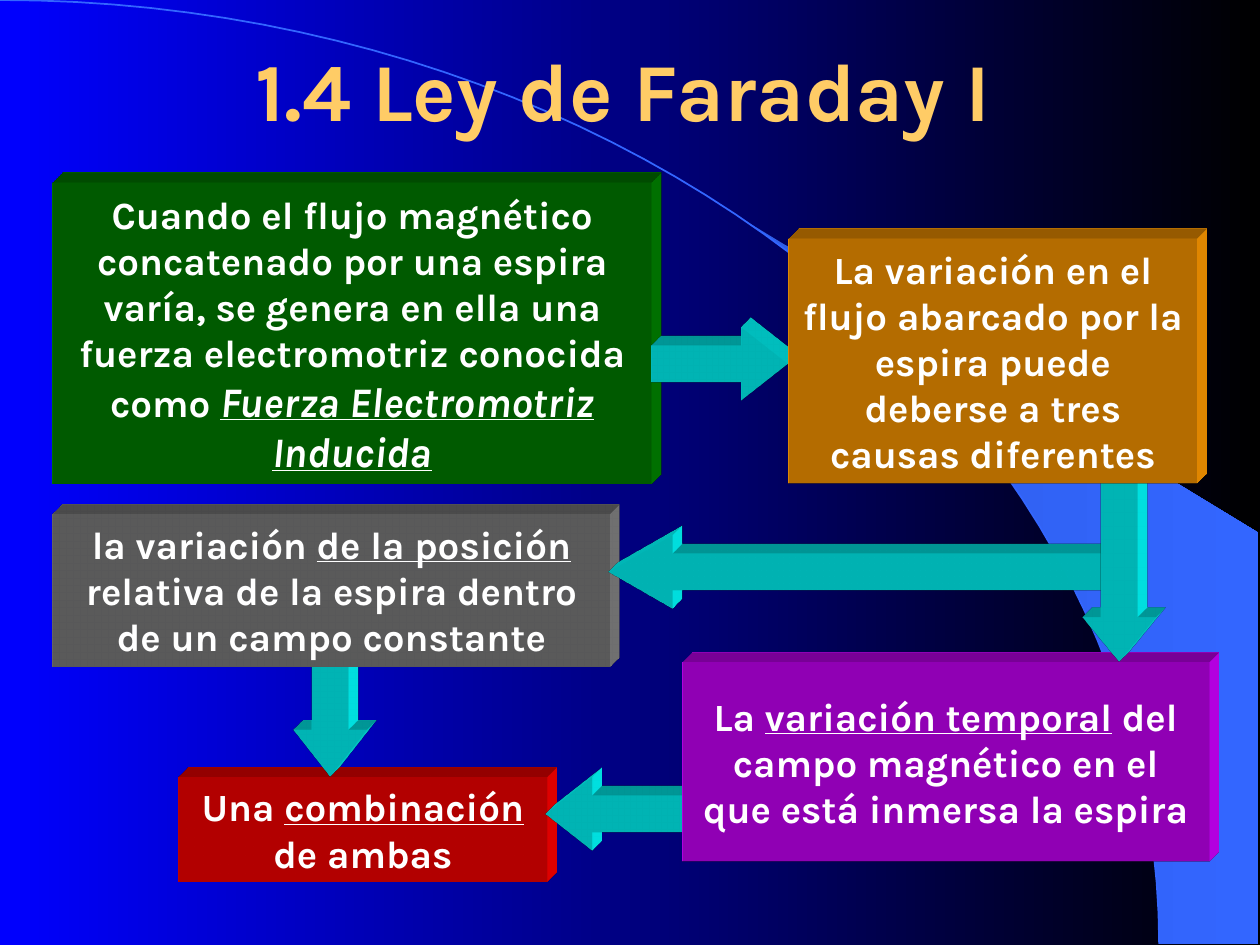
"""Build the Faraday's law slide: five raised blocks joined by block arrows."""
import math

from lxml import etree
from pptx import Presentation
from pptx.dml.color import RGBColor
from pptx.enum import shapes, text
from pptx.oxml import ns
from pptx.util import Inches, Pt

BLUE = RGBColor(0x00, 0x00, 0xFF)
BLACK = RGBColor(0x00, 0x00, 0x00)
SKY = RGBColor(0x33, 0x66, 0xFF)
SKY_DARK = RGBColor(0x2E, 0x5D, 0xE7)
GOLD = RGBColor(0xFF, 0xCC, 0x66)
WHITE = RGBColor(0xFF, 0xFF, 0xFF)
GREEN = RGBColor(0x00, 0x80, 0x00)
RED = RGBColor(0xFF, 0x00, 0x00)
GRAY = RGBColor(0x80, 0x80, 0x80)
PURPLE = RGBColor(0xCC, 0x00, 0xFF)
ORANGE = RGBColor(0xFF, 0x99, 0x00)
CYAN = RGBColor(0x00, 0xFF, 0xFF)

ARC_WIDTH, ARC_HEIGHT = 9.2, 7.49
PLAIN, UNDER = {}, {"underline": True}
TERM = {"underline": True, "italic": True, "size": Pt(24)}

DEPTH = """<a:{tag} xmlns:a="http://schemas.openxmlformats.org/drawingml/2006/main">{body}</a:{tag}>"""
SCENE = '<a:camera prst="legacyObliqueTopRight"/><a:lightRig rig="legacyFlat3" dir="b"/>'
BEVELS = ('<a:bevelT w="13500" h="13500" prst="angle"/><a:bevelB w="13500" h="13500" prst="angle"/>'
          '<a:extrusionClr><a:srgbClr val="{color}"/></a:extrusionClr>')
GLYPH_SHADOW = ('<a:outerShdw dist="35921" dir="2700000" algn="ctr" rotWithShape="0">'
                '<a:srgbClr val="000000"/></a:outerShdw>')


def arc(start):
    """Return points on the quarter ellipse from x = start to its right end."""
    first = math.asin(start / ARC_WIDTH)
    angles = [first + (math.pi / 2 - first) * step / 48 for step in range(49)]
    return [(ARC_WIDTH * math.sin(a), ARC_HEIGHT * (1 - math.cos(a))) for a in angles]


class FaradaySlide:
    """Hold the text style and the current slide."""

    style = {"name": "Karla", "size": Pt(22), "bold": True}

    def __init__(self, slide):
        self.slide = slide

    def gradient(self, fill, *colors):
        fill.gradient()
        fill.gradient_angle = 0
        for stop, color in zip(fill.gradient_stops, colors):
            stop.color.rgb = color

    def outline(self, points, closed):
        builder = self.slide.shapes.build_freeform(
            *(Inches(v) for v in points[0]), scale=1.0)
        builder.add_line_segments(
            [(Inches(x), Inches(y)) for x, y in points[1:]], close=closed)
        shape = builder.convert_to_shape()
        shape.shadow.inherit = False
        return shape

    def put_text(self, frame, paragraphs, color, base=PLAIN):
        frame.word_wrap = True
        frame.vertical_anchor = text.MSO_ANCHOR.MIDDLE
        for index, runs in enumerate(paragraphs):
            paragraph = frame.add_paragraph() if index else frame.paragraphs[0]
            paragraph.alignment = text.PP_ALIGN.CENTER
            for words, extra in runs:
                run = paragraph.add_run()
                run.text = words
                run.font.color.rgb = color
                for key, value in {**self.style, **base, **extra}.items():
                    setattr(run.font, key, value)

    def title(self, box, words):
        frame = self.slide.shapes.add_textbox(*map(Inches, box)).text_frame
        self.put_text(frame, [[(words, PLAIN)]], GOLD, {"size": Pt(47)})
        properties = frame.paragraphs[0].runs[0]._r.get_or_add_rPr()
        properties.find(ns.qn("a:solidFill")).addnext(
            etree.fromstring(DEPTH.format(tag="effectLst", body=GLYPH_SHADOW)))

    def solid(self, preset, box, color):
        shape = self.slide.shapes.add_shape(preset, *map(Inches, box))
        shape.shadow.inherit = False
        shape.fill.solid()
        shape.fill.fore_color.rgb = color
        shape.line.fill.background()
        depth = etree.fromstring(DEPTH.format(tag="sp3d", body=BEVELS.format(color=color)))
        depth.set("extrusionH", "201600")
        depth.set("prstMaterial", "legacyMatte")
        shape._element.spPr.append(etree.fromstring(DEPTH.format(tag="scene3d", body=SCENE)))
        shape._element.spPr.append(depth)
        return shape

    def block(self, box, color, *paragraphs):
        frame = self.solid(shapes.MSO_SHAPE.RECTANGLE, box, color).text_frame
        self.put_text(frame, paragraphs, WHITE)
        frame.auto_size = text.MSO_AUTO_SIZE.SHAPE_TO_FIT_TEXT

    def arrow(self, left, top, length, rotation=0, head=0.64):
        shape = self.solid(shapes.MSO_SHAPE.RIGHT_ARROW, (left, top, length, 0.58), CYAN)
        shape.adjustments[0], shape.adjustments[1] = 0.5, head
        shape.rotation = rotation


def main():
    deck = Presentation()
    deck.slide_width, deck.slide_height = Inches(10), Inches(7.5)
    page = FaradaySlide(deck.slides.add_slide(deck.slide_layouts[6]))
    page.gradient(page.slide.background.fill, BLUE, BLACK)

    wedge = page.outline(arc(5.89) + [(9.99, 7.49), (9.99, 4.23)], True)
    page.gradient(wedge.fill, SKY_DARK, SKY)
    wedge.line.fill.background()
    curve = page.outline(arc(0), False)
    curve.fill.background()
    curve.line.color.rgb = SKY
    curve.line.width = Pt(1)

    page.title((0.73, 0.08, 8.44, 1.25), "1.4 Ley de Faraday I")
    page.block((0.42, 1.45, 4.75, 2.39), GREEN, [
        ("Cuando el flujo magnético concatenado por una espira varía, se genera en ella "
         "una fuerza electromotriz conocida como ", PLAIN),
        ("Fuerza Electromotriz Inducida", TERM)])
    page.block((1.42, 6.17, 2.92, 0.83), RED,
               [("Una ", PLAIN), ("combinación", UNDER)], [("de ambas", PLAIN)])
    page.arrow(4.33, 6.17, 1.08, 180)
    page.arrow(2.08, 5.33, 1.08, 90)
    page.block((0.42, 4.08, 4.42, 1.21), GRAY, [
        ("la variación ", PLAIN), ("de la posición", UNDER),
        (" relativa de la espira dentro de un campo constante", PLAIN)])
    page.block((5.42, 5.26, 4.17, 1.58), PURPLE, [
        ("La ", PLAIN), ("variación temporal", UNDER),
        (" del campo magnético en el que está inmersa la espira", PLAIN)])
    page.arrow(4.83, 4.25, 3.92, 180, 0.88)
    page.arrow(8.17, 4.25, 1.42, 90, 0.61)
    page.arrow(5.17, 2.6, 1.08)
    page.block((6.26, 1.89, 3.24, 1.95), ORANGE, [
        ("La variación en el flujo abarcado por la espira puede deberse a tres causas "
         "diferentes", PLAIN)])

    deck.save("out.pptx")


if __name__ == "__main__":
    main()
